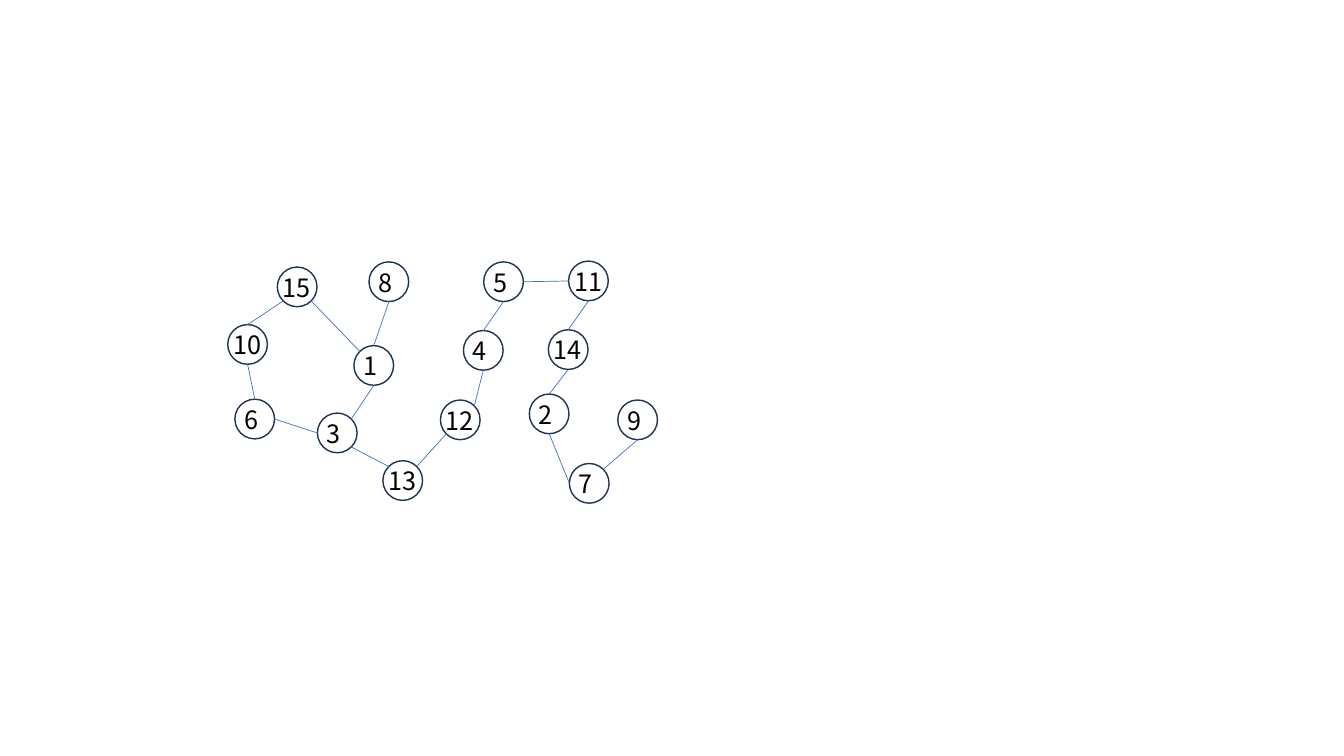
import math

from lxml import etree
from pptx import Presentation
from pptx.dml.color import RGBColor
from pptx.enum.shapes import MSO_CONNECTOR, MSO_SHAPE
from pptx.enum.text import MSO_AUTO_SIZE
from pptx.oxml.ns import qn
from pptx.util import Cm, Pt

OVAL = MSO_SHAPE.OVAL
STRAIGHT = MSO_CONNECTOR.STRAIGHT
GROW = MSO_AUTO_SIZE.SHAPE_TO_FIT_TEXT

BLACK = RGBColor(0x00, 0x00, 0x00)
NAVY = RGBColor(0x1E, 0x32, 0x56)
BLUE = RGBColor(0x44, 0x72, 0xC4)

DIAMETER = 1.0
# Left and top of each circle, in cm
NODES = {
    2: (13.34, 9.93), 10: (5.74, 8.18), 1: (8.92, 8.71),
    3: (8.0, 10.41), 4: (11.68, 8.33), 5: (12.19, 6.6),
    6: (5.92, 10.06), 9: (15.57, 10.08), 8: (9.3, 6.6),
    7: (14.35, 11.68), 15: (6.99, 6.73), 11: (14.33, 6.58),
    13: (9.65, 11.61), 12: (11.1, 10.08), 14: (13.82, 8.31),
}
# Label offset from the circle and label width, by number of digits
LABELS = {1: (-0.01, 0.95), 2: (-0.11, 1.22)}

# Compass points on a circle, as degrees clockwise from east
SITES = {"E": 0, "SE": 45, "S": 90, "SW": 135, "W": 180, "NW": 225, "N": 270, "NE": 315}
EDGES = [
    (15, "SW", 10, "N"), (10, "S", 6, "N"), (3, "W", 6, "E"),
    (1, "S", 3, "NE"), (15, "SE", 1, "NW"), (8, "S", 1, "N"),
    (13, "NW", 3, "SE"), (12, "SW", 13, "NE"), (4, "S", 12, "NE"),
    (5, "S", 4, "N"), (5, "E", 11, "W"), (11, "S", 14, "N"),
    (14, "S", 2, "N"), (2, "S", 7, "W"), (9, "S", 7, "NE"),
]


def add_text(tf, text, *, font, size, color):
    r = tf.paragraphs[0].add_run()
    r.text = text
    r.font.name = font
    r.font.size = Pt(size)
    r.font.color.rgb = color
    rPr = r._r.get_or_add_rPr()
    etree.SubElement(rPr, qn("a:ea")).set("typeface", font)


def site_point(number, site):
    """Return the point in cm at a compass site of a circle."""
    left, top = NODES[number]
    angle = math.radians(SITES[site])
    radius = DIAMETER / 2
    return left + radius * (1 + math.cos(angle)), top + radius * (1 + math.sin(angle))


class GraphSlide:
    font = "Noto Sans CJK KR"
    size = 18

    def __init__(self, prs):
        self.s = prs.slides.add_slide(prs.slide_layouts[6])

    def node(self, number):
        left, top = NODES[number]
        text = str(number)
        offset, width = LABELS[len(text)]
        group = self.s.shapes.add_group_shape()

        box = group.shapes.add_textbox(Cm(left + offset), Cm(top), Cm(width), Cm(1.02))
        tf = box.text_frame
        tf.word_wrap = False
        tf.auto_size = GROW
        add_text(tf, text, font=self.font, size=self.size, color=BLACK)

        sp = group.shapes.add_shape(OVAL, Cm(left), Cm(top), Cm(DIAMETER), Cm(DIAMETER))
        sp.shadow.inherit = False
        sp.fill.background()
        sp.line.color.rgb = NAVY
        sp.line.width = Pt(1)

    def edge(self, start, start_site, end, end_site):
        points = site_point(start, start_site) + site_point(end, end_site)
        line = self.s.shapes.add_connector(STRAIGHT, *map(Cm, points))
        line.line.color.rgb = BLUE
        line.line.width = Pt(0.5)
        etree.SubElement(line._element.spPr, qn("a:effectLst"))


def main():
    prs = Presentation()
    prs.slide_width = Cm(33.87)
    prs.slide_height = Cm(19.05)
    graph = GraphSlide(prs)
    for number in NODES:
        graph.node(number)
    for edge in EDGES:
        graph.edge(*edge)
    prs.save("out.pptx")


if __name__ == "__main__":
    main()
